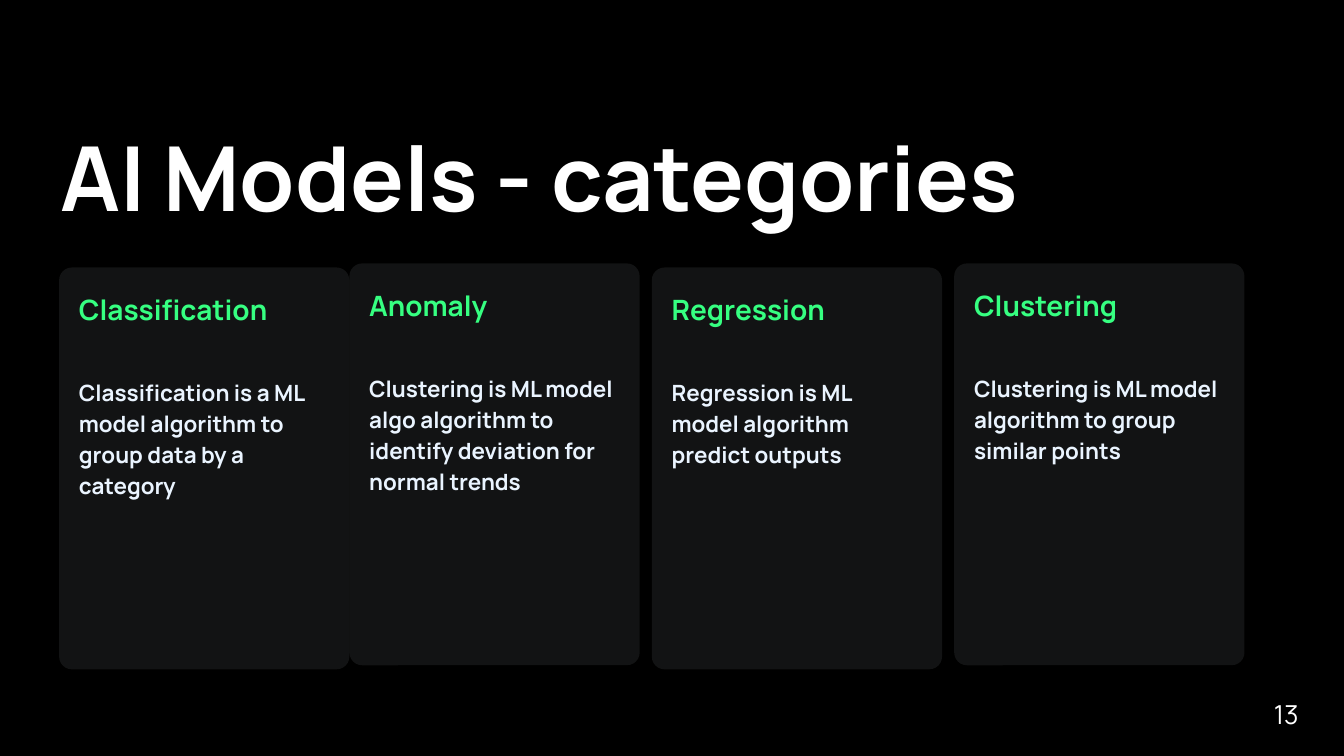
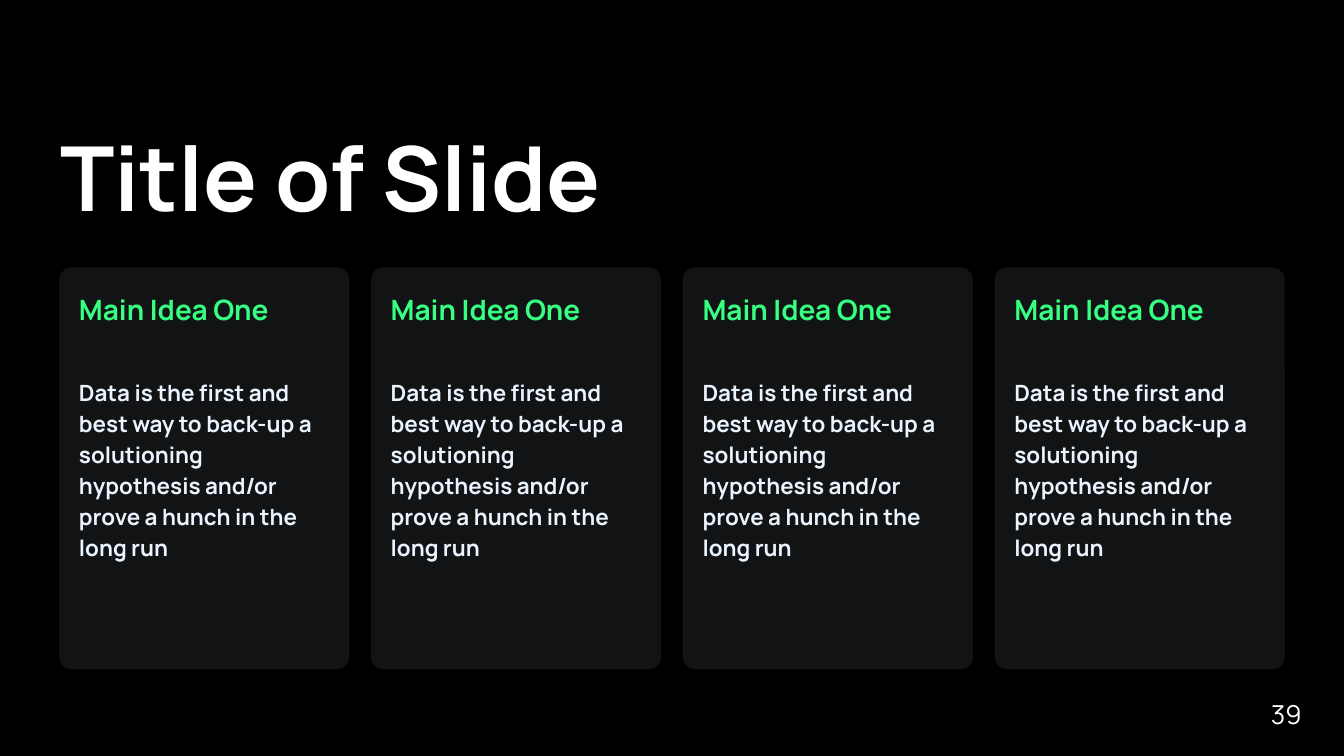
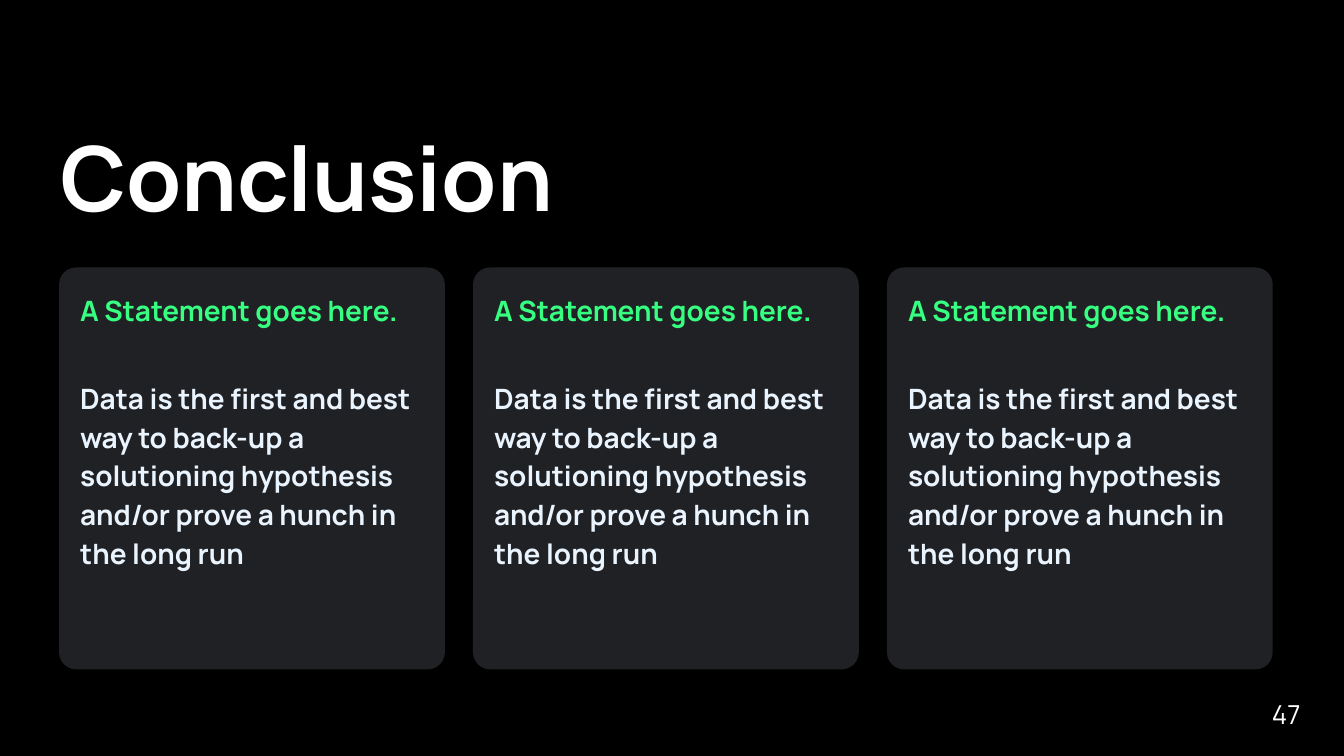
import pptx
import pptx.dml.color
import pptx.enum.shapes
import pptx.enum.text
import pptx.oxml.ns
import pptx.util
from lxml import etree

Inches = pptx.util.Inches
Pt = pptx.util.Pt
ALIGN = pptx.enum.text.PP_ALIGN
ANCHOR = pptx.enum.text.MSO_ANCHOR

FONT = "Manrope"
BLACK, WHITE, GREEN = "000000", "FFFFFF", "36FF81"
PALE, GLASS, SLATE = "EAF4FF", "EBF5FF", "202124"

LEFT, TOP, HEIGHT = 0.44, 1.99, 2.99
SLIM, WIDE = 2.16, 2.87
RAISED = TOP - 0.03

PITCH = ("Data is the first and best way to back-up a solutioning "
         "hypothesis and/or prove a hunch in the long run")


def color(code):
    return pptx.dml.color.RGBColor.from_string(code)


def paint(fill, code, alpha=None):
    """Fill with one colour; alpha is the opacity in percent."""
    fill.solid()
    fill.fore_color.rgb = color(code)
    if alpha is not None:
        tone = fill._xPr.find(".//" + pptx.oxml.ns.qn("a:srgbClr"))
        etree.SubElement(tone, pptx.oxml.ns.qn("a:alpha"), val=str(alpha * 1000))


def frame(shape, inset, anchor):
    text = shape.text_frame
    text.word_wrap = True
    text.vertical_anchor = anchor
    text.margin_left = text.margin_right = Inches(inset)
    text.margin_top = text.margin_bottom = Inches(inset)
    return text


def write(para, words, size, code, bold=False, lines=None, align=ALIGN.LEFT):
    para.alignment = align
    para.line_spacing = lines
    run = para.add_run()
    run.text = words
    run.font.name = FONT
    run.font.size = Pt(size)
    run.font.bold = bold
    run.font.color.rgb = color(code)


def label(slide, box, words, size, **style):
    shape = slide.shapes.add_textbox(*map(Inches, box))
    text = frame(shape, 0.1, ANCHOR.MIDDLE)
    write(text.paragraphs[0], words, size, WHITE, **style)


def base(deck, title, number, width=8.11):
    """Black slide with its title and page number."""
    slide = deck.slides.add_slide(deck.slide_layouts[6])
    paint(slide.background.fill, BLACK)
    label(slide, (9.27, 5.1, 0.6, 0.43), number, 14, align=ALIGN.CENTER)
    label(slide, (0.35, 0.9, width, 0.96), title, 48, bold=True, lines=0.8)
    return slide


def card(slide, box, head, body, size=12, fill=(GLASS, 8)):
    """Rounded panel with a green heading above its body text."""
    shape = slide.shapes.add_shape(
        pptx.enum.shapes.MSO_SHAPE.ROUNDED_RECTANGLE, *map(Inches, box))
    shape.adjustments[0] = 0.044
    shape.shadow.inherit = False
    shape.line.fill.background()
    paint(shape.fill, *fill)
    text = frame(shape, 0.12, ANCHOR.TOP)
    write(text.paragraphs[0], head, 15, GREEN, bold=True, lines=1.15)
    para = text.add_paragraph()
    para.space_before = Pt(26.5)
    write(para, body, size, PALE, bold=True, lines=1.15)


def row(slide, count, width, step, *content, **style):
    """Evenly spaced cards that share one text."""
    for i in range(count):
        card(slide, (LEFT + i * step, TOP, width, HEIGHT), *content, **style)


def models(deck):
    slide = base(deck, "AI Models - categories", "13", width=9.21)
    kinds = [
        (LEFT, TOP, "Classification",
         "Classification is a ML model algorithm to group data by a category"),
        (4.85, TOP, "Regression",
         "Regression is ML model algorithm predict outputs"),
        (7.1, RAISED, "Clustering",
         "Clustering is ML model algorithm to group similar points"),
        (2.6, RAISED, "Anomaly",
         "Clustering is ML model algo algorithm to identify deviation "
         "for normal trends"),
    ]
    for left, top, head, body in kinds:
        card(slide, (left, top, SLIM, HEIGHT), head, body)


def ideas(deck):
    slide = base(deck, "Title of Slide", "39")
    row(slide, 4, SLIM, 2.32, "Main Idea One", PITCH)


def closing(deck):
    slide = base(deck, "Conclusion", "47")
    row(slide, 3, WIDE, 3.08, "A Statement goes here.", PITCH,
        size=15, fill=(SLATE,))


def main():
    deck = pptx.Presentation()
    deck.slide_width = Inches(10)
    deck.slide_height = Inches(10 * 9 / 16)
    models(deck)
    ideas(deck)
    closing(deck)
    deck.save("out.pptx")


if __name__ == "__main__":
    main()
